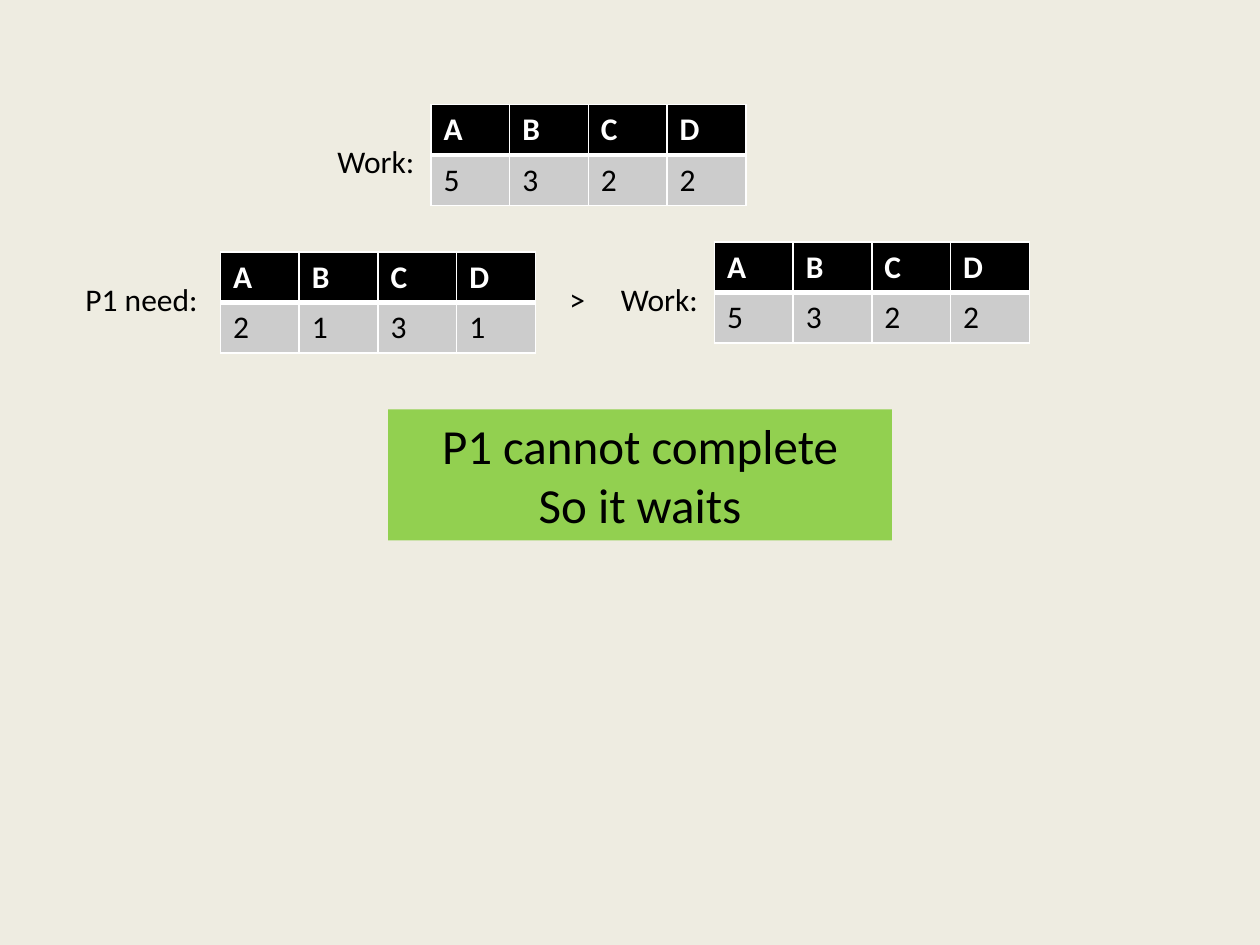
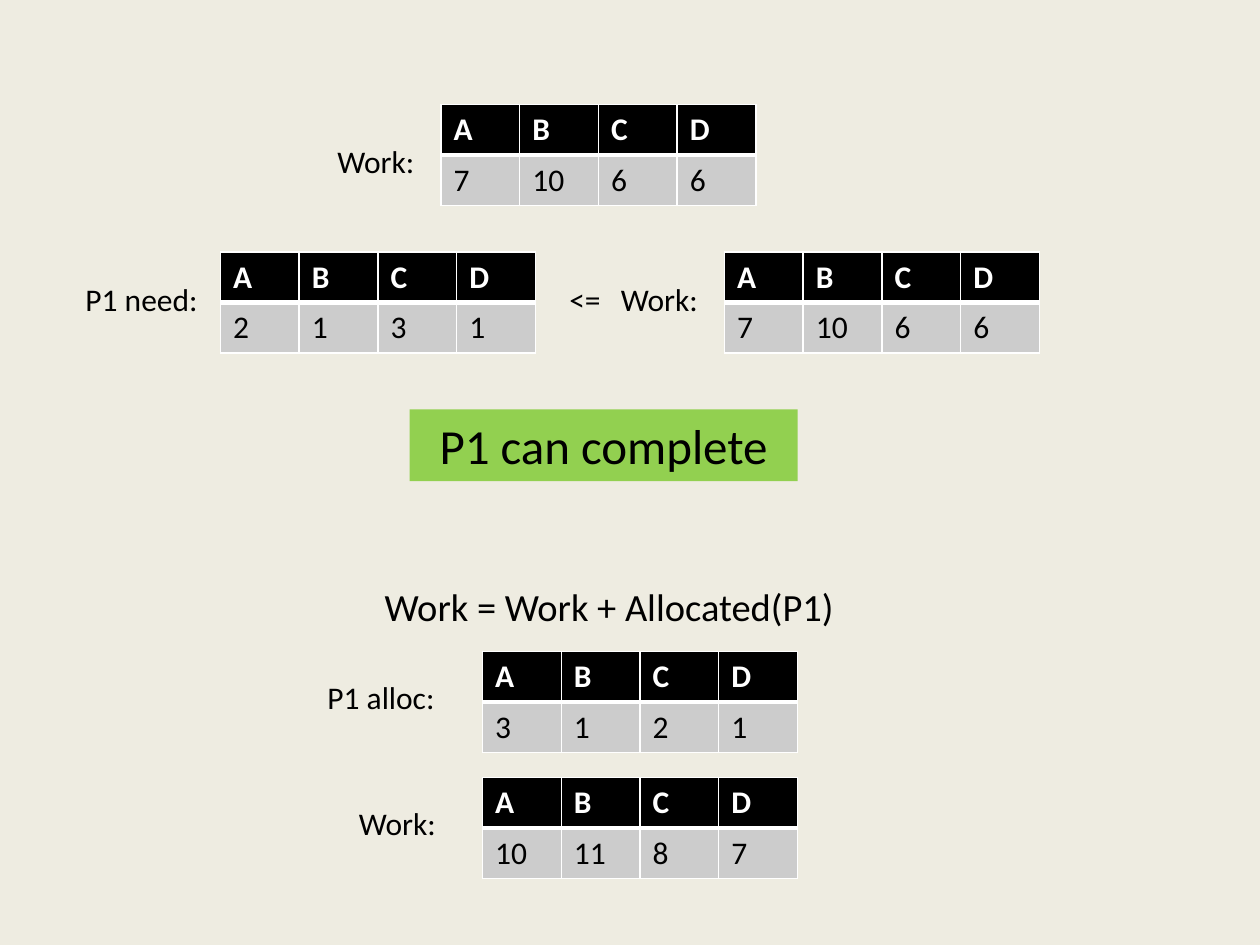
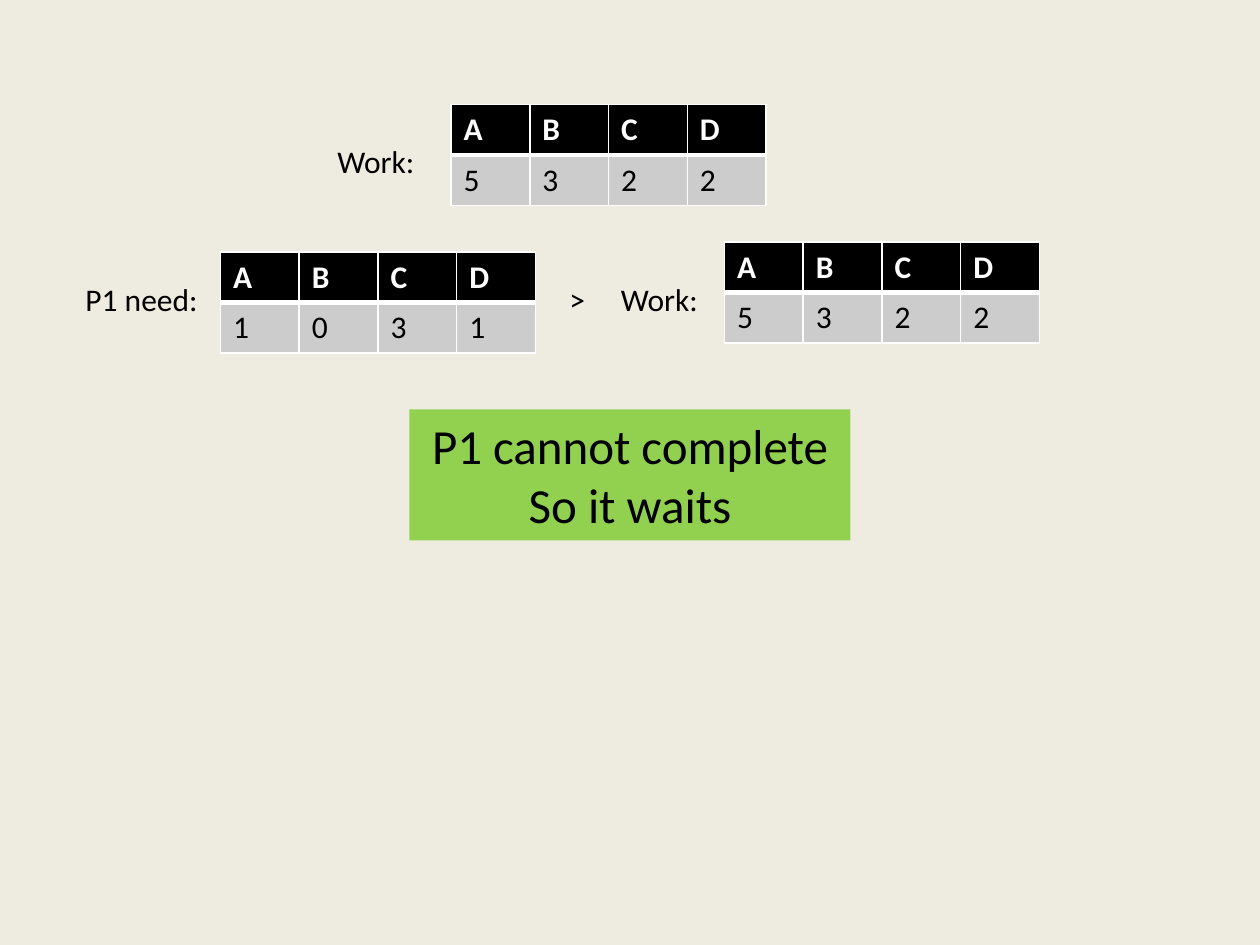
import pptx
import pptx.dml.color
import pptx.enum.text
import pptx.oxml
import pptx.oxml.ns
import pptx.util

Inches = pptx.util.Inches
Pt = pptx.util.Pt
RGBColor = pptx.dml.color.RGBColor
PP_ALIGN = pptx.enum.text.PP_ALIGN

BACKGROUND = RGBColor(0xEE, 0xEC, 0xE1)
BLACK = RGBColor(0x00, 0x00, 0x00)
WHITE = RGBColor(0xFF, 0xFF, 0xFF)
GREY = RGBColor(0xCC, 0xCC, 0xCC)
GREEN = RGBColor(0x92, 0xD0, 0x50)
FONT = "Calibri"

# Content: resource vectors, verdicts and the places that differ by slide
RESOURCES = ["A", "B", "C", "D"]
WAITS = ["P1 cannot complete", "So it waits"]
STEPS = [
    {"work": [5, 3, 2, 2], "need": [2, 1, 3, 1], "sign": ">", "verdict": WAITS,
     "work_at": (3.42, 0.83), "compare_at": (5.67, 1.92),
     "verdict_box": (3.08, 3.25, 4, 1.04)},
    {"work": [7, 10, 6, 6], "need": [2, 1, 3, 1], "sign": "<=",
     "verdict": ["P1 can complete"],
     "work_at": (3.5, 0.83), "compare_at": (5.75, 2),
     "verdict_box": (3.25, 3.25, 3.08, 0.57),
     "update": {"formula": "Work = Work + Allocated(P1)",
                "rows": [("P1 alloc:", 2.5, 1.17, [3, 1, 2, 1]),
                         ("Work:", 2.75, 0.83, [10, 11, 8, 7])]}},
    {"work": [5, 3, 2, 2], "need": [1, 0, 3, 1], "sign": ">", "verdict": WAITS,
     "work_at": (3.58, 0.83), "compare_at": (5.75, 1.92),
     "verdict_box": (3.25, 3.25, 3.5, 1.04)},
]

# Table grid
COL_W = 0.625
ROW_H = 0.4
UPDATE_LEFT, UPDATE_TOP, UPDATE_STEP = 3.83, 5.17, 1
LABEL_DROP = 0.16


def write(tf, lines, size=18, color=BLACK, bold=False, align=PP_ALIGN.LEFT):
    for i, line in enumerate(lines):
        p = tf.paragraphs[0] if i == 0 else tf.add_paragraph()
        p.alignment = align
        r = p.add_run()
        r.text = str(line)
        r.font.name = FONT
        r.font.size = Pt(size)
        r.font.bold = bold
        r.font.color.rgb = color


def add_text(slide, lines, left, top, width, height=0.4, fill=None, **fmt):
    sp = slide.shapes.add_textbox(*map(Inches, (left, top, width, height)))
    if fill is not None:
        sp.fill.solid()
        sp.fill.fore_color.rgb = fill
    tf = sp.text_frame
    tf.word_wrap = True
    tf.auto_size = pptx.enum.text.MSO_AUTO_SIZE.SHAPE_TO_FIT_TEXT
    write(tf, lines, **fmt)


def set_borders(cell, **widths):
    tcPr = cell._tc.get_or_add_tcPr()
    for i, side in enumerate("LRTB"):
        tcPr.insert(i, pptx.oxml.parse_xml(
            f'<a:ln{side} {pptx.oxml.ns.nsdecls("a")} w="{Pt(widths.get(side, 1))}">'
            f'<a:solidFill><a:srgbClr val="{WHITE}"/></a:solidFill></a:ln{side}>'))


def add_vector(slide, values, left, top):
    rows = [(RESOURCES, BLACK, {"color": WHITE, "bold": True}, {"B": 3}),
            (values, GREY, {}, {"T": 3})]
    n = len(RESOURCES)
    table = slide.shapes.add_table(
        len(rows), n, Inches(left), Inches(top),
        Inches(n * COL_W), Inches(len(rows) * ROW_H)).table
    for r, (texts, fill, fmt, borders) in enumerate(rows):
        for c, text in enumerate(texts):
            cell = table.cell(r, c)
            cell.fill.solid()
            cell.fill.fore_color.rgb = fill
            write(cell.text_frame, [text], **fmt)
            set_borders(cell, **borders)


def add_update(slide, formula, rows):
    add_text(slide, [formula], 2.67, 4.58, 4.33, 0.47, size=22, align=PP_ALIGN.CENTER)
    for i, (label, left, width, values) in enumerate(rows):
        top = UPDATE_TOP + i * UPDATE_STEP
        add_vector(slide, values, UPDATE_LEFT, top)
        add_text(slide, [label], left, top + LABEL_DROP, width)


def add_step(prs, step):
    slide = prs.slides.add_slide(prs.slide_layouts[6])
    # Available work
    add_text(slide, ["Work:"], 2.58, 1.08, 0.83)
    add_vector(slide, step["work"], *step["work_at"])
    # Need compared with work
    add_text(slide, ["P1 need:"], 0.58, 2.17, 1.17)
    add_vector(slide, step["need"], 1.75, 2)
    add_text(slide, [step["sign"]], 4.42, 2.17, 0.5)
    add_text(slide, ["Work:"], 4.83, 2.17, 0.83)
    add_vector(slide, step["work"], *step["compare_at"])
    # Verdict, and the new work vector when the process completes
    add_text(slide, step["verdict"], *step["verdict_box"], fill=GREEN,
             size=28, align=PP_ALIGN.CENTER)
    if "update" in step:
        add_update(slide, **step["update"])


def main():
    prs = pptx.Presentation()
    prs.slide_width, prs.slide_height = Inches(10), Inches(7.5)
    bg = prs.slide_master.background.fill
    bg.solid()
    bg.fore_color.rgb = BACKGROUND
    for step in STEPS:
        add_step(prs, step)
    prs.save("out.pptx")


if __name__ == "__main__":
    main()
